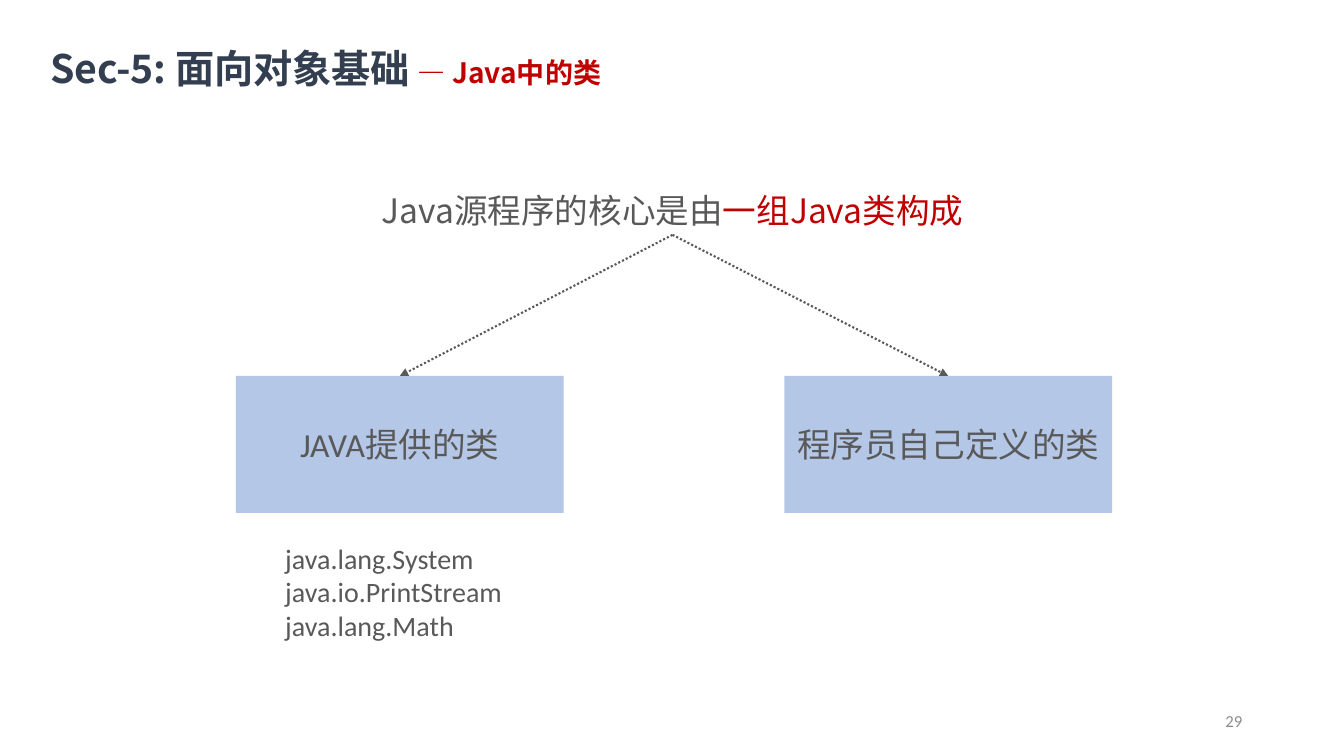
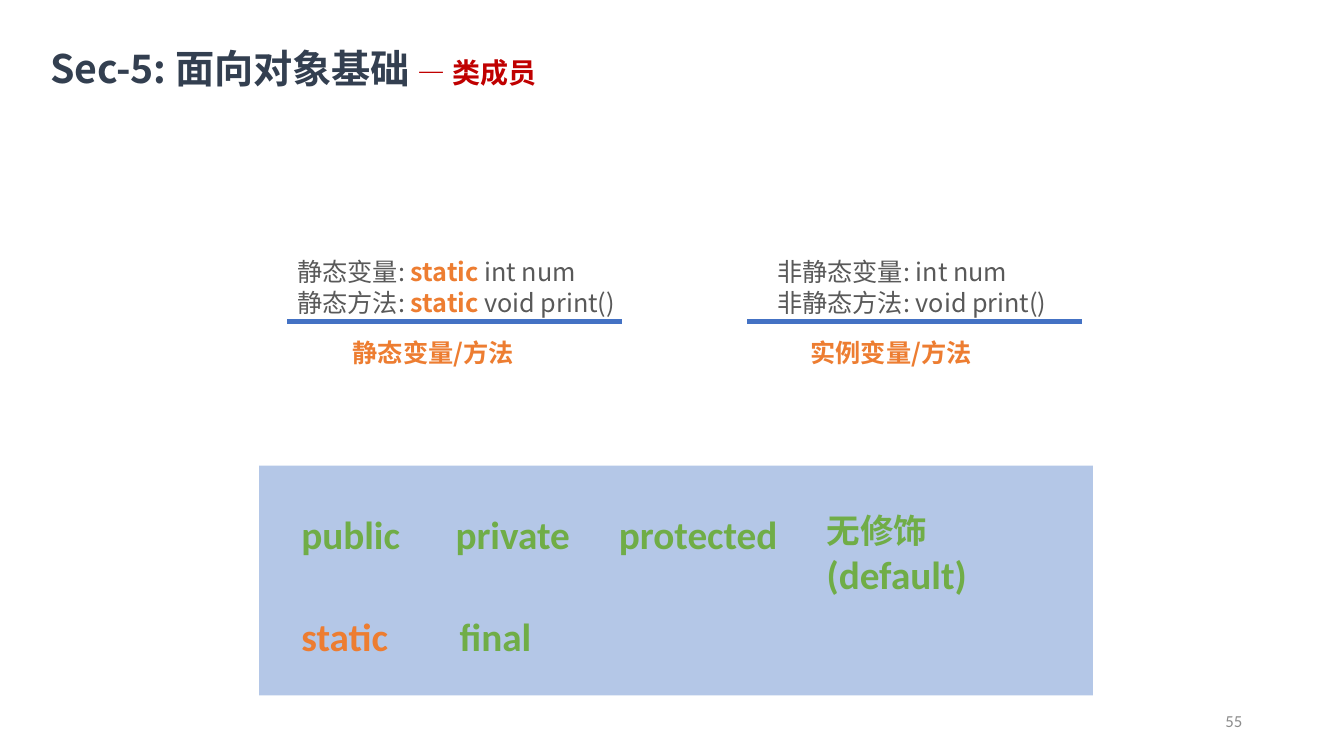
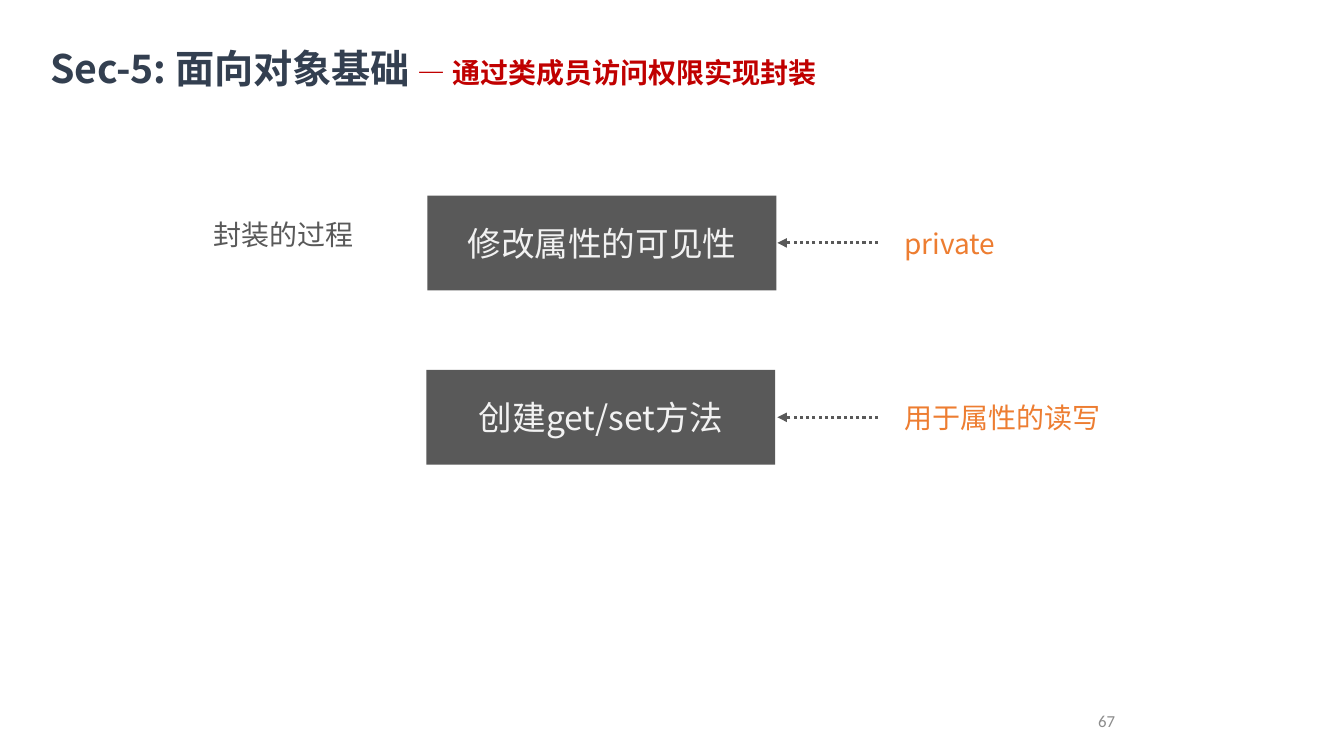
from dataclasses import dataclass
from typing import Optional

from lxml import etree
from pptx import Presentation
from pptx import util as u
from pptx.dml.color import RGBColor
from pptx.enum import dml, shapes, text
from pptx.oxml.ns import qn

CJK = "Noto Sans CJK SC"
LATIN = "Calibri"
GREY = "595959"
RED = "C00000"
ORANGE = "ED7D31"
GREEN = "70AD47"
BLUE = "4472C4"
PALE_BLUE = "B4C7E7"
NAVY = "333F50"
NEAR_WHITE = "F2F2F2"
PAGE_GREY = "8C8C8C"
ALIGN = text.PP_ALIGN
ANCHOR = text.MSO_ANCHOR


@dataclass(frozen=True)
class Style:
    size: float
    color: str = GREY
    font: str = CJK
    bold: bool = False
    align: text.PP_ALIGN = ALIGN.LEFT


@dataclass(frozen=True)
class Span:
    """A piece of a paragraph; None keeps the paragraph's own setting."""
    text: str
    color: Optional[str] = None
    size: Optional[float] = None
    bold: Optional[bool] = None
    spacing: Optional[int] = None


@dataclass(frozen=True)
class Box:
    left: float
    top: float
    width: float
    height: float

    def lengths(self):
        return [u.Inches(v) for v in (self.left, self.top, self.width, self.height)]


@dataclass(frozen=True)
class Label:
    text: str
    left: float
    top: float
    color: str = GREEN


def rgb(color: str) -> RGBColor:
    return RGBColor.from_string(color)


def write(tf, paragraphs, style: Style) -> None:
    """Fill a text frame with paragraphs, each a string or a list of spans."""
    tf.word_wrap = True
    for i, content in enumerate(paragraphs):
        p = tf.add_paragraph() if i else tf.paragraphs[0]
        p.alignment = style.align
        f = p.font
        f.size, f.bold, f.name = u.Pt(style.size), style.bold, style.font
        f.color.rgb = rgb(style.color)
        defaults = p._p.pPr.find(qn("a:defRPr"))
        etree.SubElement(defaults, qn("a:ea")).set("typeface", CJK)
        for span in [Span(content)] if isinstance(content, str) else content:
            r = p.add_run()
            r.text = span.text
            if span.color:
                r.font.color.rgb = rgb(span.color)
            if span.size:
                r.font.size = u.Pt(span.size)
            if span.bold is not None:
                r.font.bold = span.bold
            if span.spacing is not None:
                r.font._element.set("spc", str(span.spacing))


def add_text(slide, box: Box, paragraphs, style: Style):
    tf = slide.shapes.add_textbox(*box.lengths()).text_frame
    write(tf, paragraphs, style)
    if style.font == CJK:
        for p in tf.paragraphs:
            p.line_spacing = u.Pt(round(style.size * 1.22, 1))
    return tf


def add_block(slide, box: Box, fill: str, caption: str = "",
              color: str = GREY, font: str = CJK) -> None:
    sp = slide.shapes.add_shape(shapes.MSO_SHAPE.RECTANGLE, *box.lengths())
    sp.shadow.inherit = False
    sp.fill.solid()
    sp.fill.fore_color.rgb = rgb(fill)
    sp.line.fill.background()
    if caption:
        sp.text_frame.vertical_anchor = ANCHOR.MIDDLE
        write(sp.text_frame, [caption], Style(24, color, font, align=ALIGN.CENTER))


def add_line(slide, start, end, color: str, width: float, arrow: bool = False) -> None:
    """Draw a plain line, or a dotted one with an arrowhead at its end."""
    line = slide.shapes.add_connector(
        shapes.MSO_CONNECTOR.STRAIGHT, *[u.Inches(v) for v in (*start, *end)])
    line.line.color.rgb = rgb(color)
    line.line.width = u.Pt(width)
    if arrow:
        line.line.dash_style = dml.MSO_LINE.ROUND_DOT
        tail = etree.SubElement(line.line._get_or_add_ln(), qn("a:tailEnd"))
        tail.set("type", "triangle")
    etree.SubElement(line._element.spPr, qn("a:effectLst"))


def add_page(prs, topic: str, number: int, number_right: float = 12.42):
    """Add a slide with the section title and page number."""
    slide = prs.slides.add_slide(prs.slide_layouts[6])
    title = [Span("Sec-5: 面向对象基础 ", NAVY, 28, spacing=-10), Span("— " + topic)]
    tf = add_text(slide, Box(0.5, 0.42, 9.08, 0.48), [title], Style(20, RED, bold=True))
    tf.margin_left = tf.margin_right = tf.margin_bottom = 0
    tf.margin_top = u.Inches(0.01)
    tf.paragraphs[0].line_spacing = u.Pt(34.5)
    tf = add_text(slide, Box(number_right - 3, 6.95, 3, 0.4), [str(number)],
                  Style(12, PAGE_GREY, LATIN, align=ALIGN.RIGHT))
    tf.vertical_anchor = ANCHOR.MIDDLE
    return slide


def java_classes(prs) -> None:
    slide = add_page(prs, "Java中的类", 29)
    add_text(slide, Box(2.34, 1.83, 8.66, 0.5),
             [[Span("Java源程序的核心是由"), Span("一组Java类构成", RED)]],
             Style(24, align=ALIGN.CENTER))
    top, width = 3.73, 3.25
    for left, caption, font in ((2.34, "JAVA提供的类", LATIN),
                                (7.78, "程序员自己定义的类", CJK)):
        add_block(slide, Box(left, top, width, 1.36), PALE_BLUE, caption, font=font)
        add_line(slide, (6.67, 2.33), (left + width / 2, top), GREY, 1.5, arrow=True)
    add_text(slide, Box(2.73, 5.32, 2.52, 1.11),
             ["java.lang.System", "java.io.PrintStream", "java.lang.Math"],
             Style(20, font=LATIN))


def class_members(prs) -> None:
    slide = add_page(prs, "类成员", 55)
    static = Span("static", ORANGE, bold=True)
    groups = (
        (2.85, 2.85, 3.4, "静态变量/方法",
         [[Span("静态变量: "), static, Span(" int num")],
          [Span("静态方法: "), static, Span(" void print()")]]),
        (7.41, 7.61, 7.94, "实例变量/方法",
         ["非静态变量: int num", "非静态方法: void print()"]),
    )
    for line_left, text_left, name_left, name, members in groups:
        add_text(slide, Box(text_left, 2.49, 3.83, 0.71), members, Style(18))
        add_line(slide, (line_left, 3.19), (line_left + 3.32, 3.19), BLUE, 3)
        add_text(slide, Box(name_left, 3.29, 2.28, 0.4), [name],
                 Style(18, ORANGE, bold=True))

    add_block(slide, Box(2.57, 4.62, 8.27, 2.28), PALE_BLUE)
    access_top, other_top = 5.01, 6.03
    modifiers = (
        Label("public", 2.89, access_top),
        Label("private", 4.42, access_top),
        Label("protected", 6.04, access_top),
        Label("static", 2.89, other_top, ORANGE),
        Label("final", 4.46, other_top),
    )
    for m in modifiers:
        add_text(slide, Box(m.left, m.top, 2.05, 0.57), [m.text],
                 Style(28, m.color, LATIN, True))
    add_text(slide, Box(8.1, access_top, 2.05, 1.03),
             [[Span("无修饰", size=24), Span("(default)")]],
             Style(28, GREEN, LATIN, True))


def encapsulation(prs) -> None:
    slide = add_page(prs, "通过类成员访问权限实现封装", 67, number_right=11.16)
    add_text(slide, Box(2.02, 2.1, 1.89, 0.44), ["封装的过程"], Style(20))
    height = 0.94
    steps = ((4.24, 1.94, "修改属性的可见性", "private"),
             (4.23, 3.67, "创建get/set方法", "用于属性的读写"))
    for left, top, step, remark in steps:
        middle = top + height / 2
        add_block(slide, Box(left, top, 3.46, height), GREY, step, NEAR_WHITE)
        add_line(slide, (8.71, middle), (7.71, middle), GREY, 2.25, arrow=True)
        add_text(slide, Box(8.87, middle - 0.22, 2.28, 0.44), [remark],
                 Style(20, ORANGE))


def main() -> None:
    prs = Presentation()
    prs.slide_width, prs.slide_height = u.Inches(13.33), u.Inches(7.5)
    java_classes(prs)
    class_members(prs)
    encapsulation(prs)
    prs.save("out.pptx")


if __name__ == "__main__":
    main()
